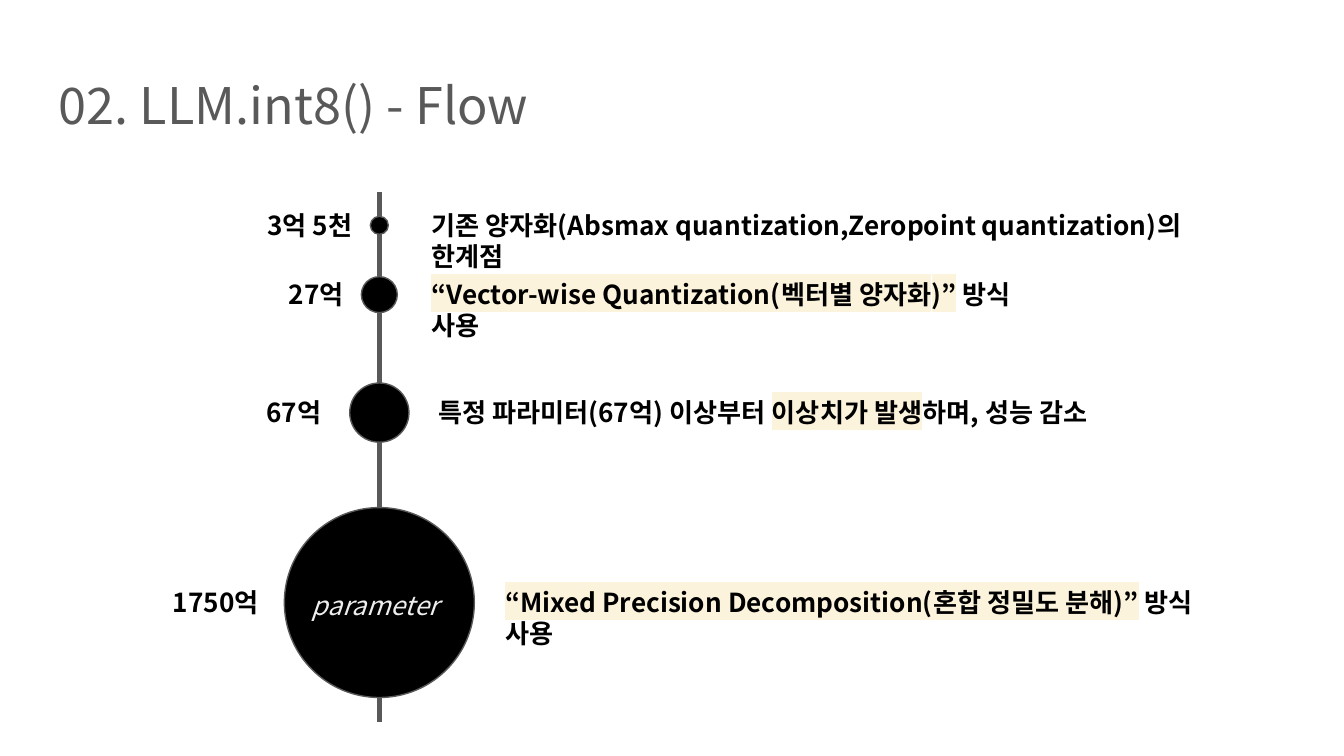
from lxml import etree
from pptx import Presentation
from pptx.dml.color import RGBColor
from pptx.enum.shapes import MSO_CONNECTOR, MSO_SHAPE
from pptx.enum.text import MSO_ANCHOR, MSO_AUTO_SIZE, PP_ALIGN
from pptx.oxml.ns import qn
from pptx.util import Cm, Pt

LINE, OVAL = MSO_CONNECTOR.STRAIGHT, MSO_SHAPE.OVAL
TOP, LEFT, NO_FIT = MSO_ANCHOR.TOP, PP_ALIGN.LEFT, MSO_AUTO_SIZE.NONE
FONT = "Noto Sans CJK KR"
GRAY, BLACK, PALE, MARK = "595959", "000000", "EEEEEE", "FBF3DB"
AXIS_X = 7.17
BOX_H = 1.12


def rgb(value):
    return RGBColor.from_string(value)


def write(sp, runs, size=14, color=BLACK, bold=False, italic=False):
    """Fill a text shape with (text, highlighted) runs in one paragraph."""
    tf = sp.text_frame
    tf.word_wrap, tf.auto_size, tf.vertical_anchor = True, NO_FIT, TOP
    tf.margin_left = tf.margin_top = tf.margin_right = tf.margin_bottom = Cm(0.25)
    p = tf.paragraphs[0]
    p.alignment = LEFT
    font = p.font
    font.size, font.bold, font.italic, font.name = Pt(size), bold, italic, FONT
    font.color.rgb = rgb(color)
    props = p._p.get_or_add_pPr().get_or_add_defRPr()
    etree.SubElement(props, qn("a:ea")).set("typeface", FONT)
    for text, marked in runs:
        r = p.add_run()
        r.text = text
        if marked:
            highlight = etree.SubElement(r._r.get_or_add_rPr(), qn("a:highlight"))
            etree.SubElement(highlight, qn("a:srgbClr")).set("val", MARK)
    return p


prs = Presentation()
prs.slide_width, prs.slide_height = Cm(25.4), Cm(14.29)
s = prs.slides.add_slide(prs.slide_layouts[5])

title = s.shapes.title
title.left, title.top, title.width, title.height = Cm(0.86), Cm(1.24), Cm(23.67), Cm(1.6)
p = write(title, [("02. LLM.int8() - Flow", False)], size=27, color=GRAY)
p.line_spacing, p.space_after = 0.95, Pt(12)

axis = s.shapes.add_connector(LINE, Cm(AXIS_X), Cm(3.63), Cm(AXIS_X), Cm(13.64))
axis.line.color.rgb, axis.line.width = rgb(GRAY), Pt(3)
etree.SubElement(axis._element.spPr, qn("a:effectLst"))

# centre y, diameter, (label, left, width), (left, width) of the note, note runs
stages = [
    (4.26, 0.34, ("3억 5천", 4.8, 2.62), (7.9, 15.6),
     [("기존 양자화(Absmax quantization,Zeropoint quantization)의 한계점", False)]),
    (5.57, 0.68, ("27억", 5.21, 1.83), (7.9, 12.12),
     [("“Vector-wise Quantization(벡터별 양자화)”", True), (" 방식 사용", False)]),
    (7.8, 1.12, ("67억", 4.78, 1.83), (8.03, 13.56),
     [("특정 파라미터(67억) 이상부터 ", False), ("이상치가 발생", True),
      ("하며, 성능 감소", False)]),
    (11.39, 3.59, ("1750억", 3.02, 2.62), (9.3, 14.2),
     [("“Mixed Precision Decomposition(혼합 정밀도 분해)”", True), (" 방식 사용", False)]),
]
for y, size, (label, label_x, label_w), (note_x, note_w), note in stages:
    dot = s.shapes.add_shape(OVAL, Cm(AXIS_X - size / 2), Cm(y - size / 2), Cm(size), Cm(size))
    dot.shadow.inherit = False
    dot.fill.solid()
    dot.fill.fore_color.rgb = rgb(BLACK)
    dot.line.color.rgb, dot.line.width = rgb(GRAY), Pt(0.75)
    for x, w, runs in ((label_x, label_w, [(label, False)]), (note_x, note_w, note)):
        sp = s.shapes.add_textbox(Cm(x), Cm(y - BOX_H / 2), Cm(w), Cm(BOX_H))
        write(sp, runs, bold=True)

caption = s.shapes.add_textbox(Cm(5.64), Cm(10.9), Cm(3.1), Cm(BOX_H))
write(caption, [("parameter", False)], color=PALE, italic=True)

prs.save("out.pptx")
